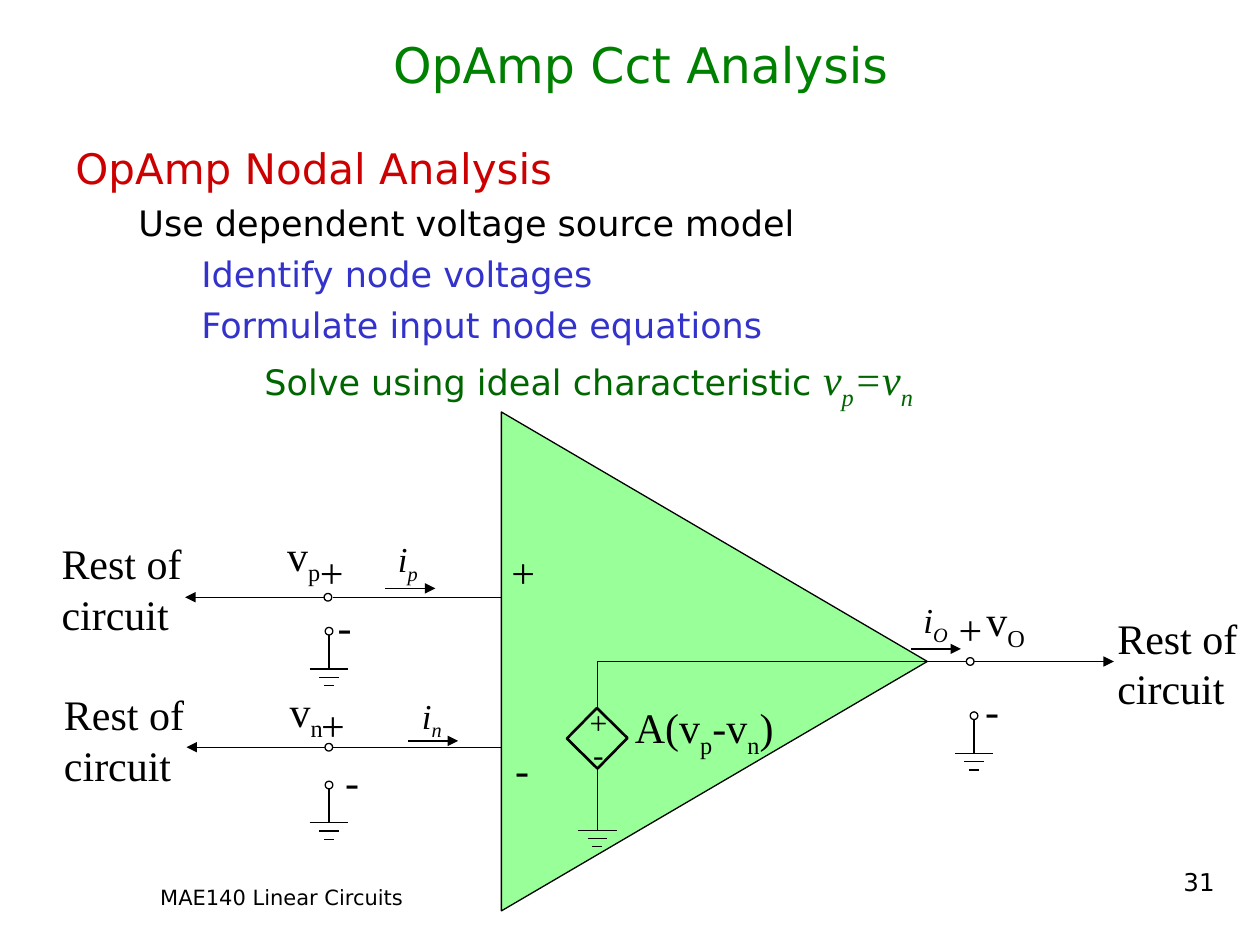
from lxml import etree
from pptx import Presentation
from pptx.dml.color import RGBColor
from pptx.enum.shapes import MSO_CONNECTOR, MSO_SHAPE
from pptx.enum.text import MSO_ANCHOR, PP_ALIGN
from pptx.oxml.ns import qn
from pptx.util import Pt

BLACK = RGBColor(0x00, 0x00, 0x00)
TITLE_GREEN = RGBColor(0x00, 0x80, 0x00)
RED = RGBColor(0xCC, 0x00, 0x00)
BLUE = RGBColor(0x33, 0x33, 0xCC)
DARK_GREEN = RGBColor(0x00, 0x66, 0x00)
AMPLIFIER_GREEN = RGBColor(0x99, 0xFF, 0x99)
SANS = "DejaVu Sans"
SERIF = "Times New Roman"

OUTLINE = [
    ("OpAmp Nodal Analysis", 24, RED, 27, -27, 0),
    ("Use dependent voltage source model", 20, BLACK, 58.5, -22.5, 5),
    ("Identify node voltages", 20, BLUE, 90, -18, 5),
    ("Formulate input node equations", 20, BLUE, 90, -18, 5),
    ("Solve using ideal characteristic ", 20, DARK_GREEN, 126, -18, 5),
]
WIRES = [
    (190.1, 341.3, 286.6, 341.3),
    (190.1, 427, 286.6, 427),
    (341.3, 378, 552.2, 378),
    (341.3, 404, 341.3, 378),
    (341.3, 438.5, 341.3, 474.5),
]
ARROWS = [
    (220.3, 336.2, 248.8, 336.2),
    (233.3, 423.4, 261.8, 423.4),
    (520.6, 370.8, 549.1, 370.8),
    (185.3, 341.3, 105.8, 341.3),
    (185.8, 427, 106.6, 427),
    (556.6, 378, 636.5, 378),
]
TERMINALS = [(187.4, 341.3), (187.9, 427), (554.4, 378)]
GROUNDS = [(188, 382.3), (188, 470.2), (556.6, 430.6)]
LABELS = [
    ("+", 329.8, 398.2, 26, 18),
    ("-", 331.9, 416.2, 22, 18),
    ("A(v|p|-v|n|)", 355.7, 397.4, 97, 24),
    ("+", 285.1, 308.9, 30, 24),
    ("-", 287.3, 421.2, 24, 24),
    ("v|O", 556.6, 336.2, 39, 24),
    ("v|n", 158.4, 388.1, 36, 24),
    ("v|p", 157, 298.8, 36, 24),
    ("+", 540.7, 341.3, 30, 24),
    ("+", 175.7, 308.9, 30, 24),
    ("+", 176.4, 396, 30, 24),
    ("-", 185.8, 339.8, 24, 24),
    ("-", 190.1, 428.4, 24, 24),
    ("-", 555.8, 387.4, 24, 24),
    ("Rest of\ncircuit", 28.1, 303.8, 86, 24),
    ("Rest of\ncircuit", 29.5, 390.2, 86, 24),
    ("Rest of\ncircuit", 631.4, 346.3, 86, 24),
]
CURRENTS = [
    ("i|p", 220.3, 303.8, 29, 20),
    ("i|n", 234, 393.1, 29, 20),
    ("i|O", 520.6, 338.4, 31, 20),
]


def style(run, size, font, color, italic=False):
    run.font.size = Pt(size)
    run.font.name = font
    run.font.color.rgb = color
    run.font.italic = italic


def add_formula(paragraph, formula, size, color, italic=False):
    """Add text in which every second part between bars is a subscript."""
    for index, part in enumerate(formula.split("|")):
        run = paragraph.add_run()
        run.text = part
        style(run, size, SERIF, color, italic)
        if index % 2:
            run._r.get_or_add_rPr().set("baseline", "-25000")


def add_frame(slide, left, top, width, height, wrap=True):
    frame = slide.shapes.add_textbox(Pt(left), Pt(top), Pt(width), Pt(height)).text_frame
    frame.word_wrap = wrap
    return frame


def add_caption(slide, text, box, size, color, align, anchor=MSO_ANCHOR.TOP):
    frame = add_frame(slide, *box)
    frame.text = text
    frame.vertical_anchor = anchor
    frame.paragraphs[0].alignment = align
    style(frame.paragraphs[0].runs[0], size, SANS, color)


def add_label(slide, text, left, top, width, size, italic=False):
    lines = text.split("\n")
    frame = add_frame(slide, left, top, width, 7.2 + 1.2 * size * len(lines), wrap=False)
    for index, line in enumerate(lines):
        paragraph = frame.add_paragraph() if index else frame.paragraphs[0]
        add_formula(paragraph, line, size, BLACK, italic)


def add_outline(slide):
    frame = add_frame(slide, 36, 77.8, 666, 401.8)
    for index, (text, size, color, margin, indent, before) in enumerate(OUTLINE):
        paragraph = frame.add_paragraph() if index else frame.paragraphs[0]
        paragraph.text = text
        paragraph.space_before = Pt(before)
        properties = paragraph._p.get_or_add_pPr()
        properties.set("marL", str(Pt(margin)))
        properties.set("indent", str(Pt(indent)))
        style(paragraph.runs[0], size, SANS, color)
    add_formula(paragraph, "v|p|=v|n", 24, DARK_GREEN, italic=True)


def add_wire(slide, x1, y1, x2, y2, arrow=False):
    wire = slide.shapes.add_connector(MSO_CONNECTOR.STRAIGHT, Pt(x1), Pt(y1), Pt(x2), Pt(y2))
    wire.line.color.rgb = BLACK
    wire.line.width = Pt(0.75)
    if arrow:
        etree.SubElement(wire.line._get_or_add_ln(), qn("a:tailEnd"), type="triangle")
    etree.SubElement(wire._element.spPr, qn("a:effectLst"))


def add_symbol(slide, kind, x, y, width, height, weight=0.75, fill=None, rotation=0):
    """Add a preset shape centred on x, y."""
    symbol = slide.shapes.add_shape(
        kind, Pt(x - width / 2), Pt(y - height / 2), Pt(width), Pt(height))
    symbol.shadow.inherit = False
    symbol.rotation = rotation
    symbol.line.color.rgb = BLACK
    symbol.line.width = Pt(weight)
    if fill is None:
        symbol.fill.background()
    else:
        symbol.fill.solid()
        symbol.fill.fore_color.rgb = fill


def add_terminal(slide, x, y):
    add_symbol(slide, MSO_SHAPE.OVAL, x, y, 4.4, 4.4)


def add_ground(slide, x, y):
    for row, half in enumerate((11, 5.5, 2.8)):
        add_wire(slide, x - half, y + 4.7 * row, x + half, y + 4.7 * row)


def add_grounded_terminal(slide, x, y):
    add_ground(slide, x, y)
    add_wire(slide, x, y - 19.4, x, y)
    add_terminal(slide, x, y - 21.6)


def main():
    presentation = Presentation()
    presentation.slide_width, presentation.slide_height = Pt(720), Pt(540)
    slide = presentation.slides.add_slide(presentation.slide_layouts[6])

    add_caption(slide, "MAE140 Linear Circuits", (23.8, 501.8, 274.3, 24.5), 12, BLACK,
                PP_ALIGN.CENTER)
    add_caption(slide, "31", (516.2, 491.8, 185, 22.3), 14, BLACK, PP_ALIGN.RIGHT)
    add_caption(slide, "OpAmp Cct Analysis", (30, 12.2, 672, 48.2), 28, TITLE_GREEN,
                PP_ALIGN.CENTER, MSO_ANCHOR.MIDDLE)
    add_outline(slide)

    add_symbol(slide, MSO_SHAPE.ISOSCELES_TRIANGLE, 408.2, 378, 285.1, 243.4,
               fill=AMPLIFIER_GREEN, rotation=90)
    add_symbol(slide, MSO_SHAPE.RECTANGLE, 341.3, 421.9, 24.5, 24.5, weight=1.5, rotation=314.5)
    for wire in WIRES:
        add_wire(slide, *wire)
    for arrow in ARROWS:
        add_wire(slide, *arrow, arrow=True)
    for terminal in TERMINALS:
        add_terminal(slide, *terminal)
    add_ground(slide, 341.3, 474.5)
    for ground in GROUNDS:
        add_grounded_terminal(slide, *ground)
    for label in LABELS:
        add_label(slide, *label)
    for current in CURRENTS:
        add_label(slide, *current, italic=True)

    presentation.save("out.pptx")


if __name__ == "__main__":
    main()
